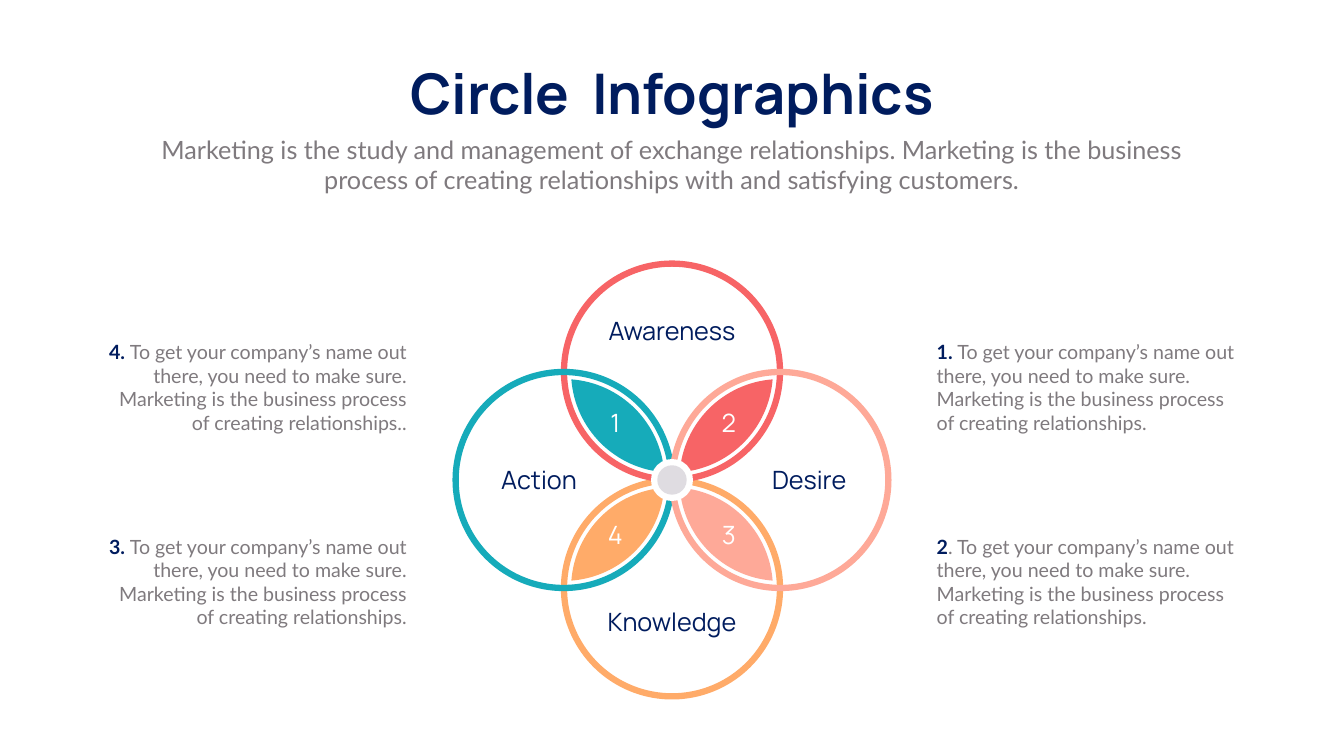
import math

from pptx import Presentation
from pptx import util as u
from pptx.dml.color import RGBColor
from pptx.enum import shapes, text

Pt = u.Pt
Kind = shapes.MSO_SHAPE
Align = text.PP_ALIGN

NAVY = RGBColor(0x00, 0x1C, 0x5E)
GREY = RGBColor(0x7F, 0x7A, 0x7E)
TEAL = RGBColor(0x16, 0xAB, 0xBA)
RED = RGBColor(0xF7, 0x64, 0x66)
PINK = RGBColor(0xFE, 0xA9, 0x98)
AMBER = RGBColor(0xFF, 0xAB, 0x69)
PALE = RGBColor(0xDF, 0xDC, 0xE1)
WHITE = RGBColor(0xFF, 0xFF, 0xFF)

MIDX, MIDY = 960, 685.7   # centre of the flower
REACH = 154.8             # flower centre to ring centre
RING, BAND = 158.8, 9     # outer radius and thickness of a ring
PETAL = 144.2             # radius of the arcs that bound a petal
STEPS = 32

INTRO = ("Marketing is the study and management of exchange relationships. "
         "Marketing is the business process of creating relationships "
         "with and satisfying customers.")
BODY = ("To get your company’s name out there, you need to make sure. "
        "Marketing is the business process of creating relationships.")


def write(para, words, font="Manrope", size=36, color=NAVY, bold=False):
    run = para.add_run()
    run.text = words
    run.font.name = font
    run.font.size = Pt(size)
    run.font.color.rgb = color
    run.font.bold = bold


class Page:
    def __init__(self, slide):
        self.items = slide.shapes

    def paint(self, shape, color):
        shape.shadow.inherit = False
        shape.fill.solid()
        shape.fill.fore_color.rgb = color
        shape.line.fill.background()

    def box(self, x, y, w, h, align=Align.CENTER, wrap=True):
        """Add a text box and return its first paragraph."""
        frame = self.items.add_textbox(Pt(x), Pt(y), Pt(w), Pt(h)).text_frame
        frame.word_wrap = wrap
        para = frame.paragraphs[0]
        para.alignment = align
        return para

    def label(self, words, dx, dy, w, **style):
        """Centre a word at an offset from the flower's centre."""
        h = 51
        para = self.box(MIDX + dx - w / 2, MIDY + dy - h / 2, w, h)
        write(para, words, **style)

    def note(self, x, y, head, body, align):
        para = self.box(x, y, 452, 143, align)
        write(para, head, font="Lato", size=28, bold=True)
        write(para, body, font="Lato", size=28, color=GREY)

    def round(self, kind, dx, dy, r, color):
        shape = self.items.add_shape(kind, Pt(MIDX + dx - r), Pt(MIDY + dy - r),
                                     Pt(2 * r), Pt(2 * r))
        self.paint(shape, color)
        return shape

    def ring(self, dx, dy, color):
        shape = self.round(Kind.DONUT, dx * REACH, dy * REACH, RING, color)
        shape.adjustments[0] = BAND / (2 * RING)

    def petal(self, sx, sy, color):
        """Fill the lens shared by two neighbouring circles in one quadrant."""
        near = (math.sqrt(2 * PETAL ** 2 - REACH ** 2) - REACH) / -2
        low = math.asin(near / PETAL)
        span = math.pi / 2 - 2 * low
        turns = [low + span * i / STEPS for i in range(STEPS + 1)]
        arc = [(REACH - PETAL * math.sin(t), PETAL * math.cos(t)) for t in turns]
        back = [(b, a) for a, b in reversed(arc)]
        dots = [(Pt(MIDX + sx * a), Pt(MIDY + sy * b))
                for a, b in arc + back[1:-1]]
        path = self.items.build_freeform(*dots[0])
        path.add_line_segments(dots[1:], close=True)
        self.paint(path.convert_to_shape(), color)


def main():
    deck = Presentation()
    deck.slide_width, deck.slide_height = Pt(1920), Pt(1080)
    page = Page(deck.slides.add_slide(deck.slide_layouts[6]))

    write(page.box(549, 80.6, 822, 104, wrap=False), "Circle  Infographics",
          size=80, bold=True)
    write(page.box(210, 188, 1499, 94), INTRO, font="Lato", color=GREY)

    for dx, dy, color in ((0, 1, AMBER), (0, -1, RED),
                          (-1, 0, TEAL), (1, 0, PINK)):
        page.ring(dx, dy, color)
    petals = ((-1, -1, TEAL), (1, -1, RED), (1, 1, PINK), (-1, 1, AMBER))
    for sx, sy, color in petals:
        page.petal(sx, sy, color)
    page.round(Kind.OVAL, 0, 0, 30, WHITE)
    page.round(Kind.OVAL, 0, 0, 21, PALE)

    for words, dx, dy in (("Awareness", 0, -213), ("Knowledge", 0, 202),
                          ("Desire", 196, -1), ("Action", -190, -1)):
        page.label(words, dx, dy, 235)
    for i, (sx, sy, _) in enumerate(petals, 1):
        page.label(str(i), sx * 81, sy * 80 - 2, 48, color=WHITE)

    left, right = 136, 1331
    top, low = 482, 760
    page.note(right, top, "1. ", BODY, Align.LEFT)
    page.note(right, low, "2", ". " + BODY, Align.LEFT)
    page.note(left, top, "4. ", BODY + ".", Align.RIGHT)
    page.note(left, low, "3. ", BODY, Align.RIGHT)

    deck.save("out.pptx")


if __name__ == "__main__":
    main()
